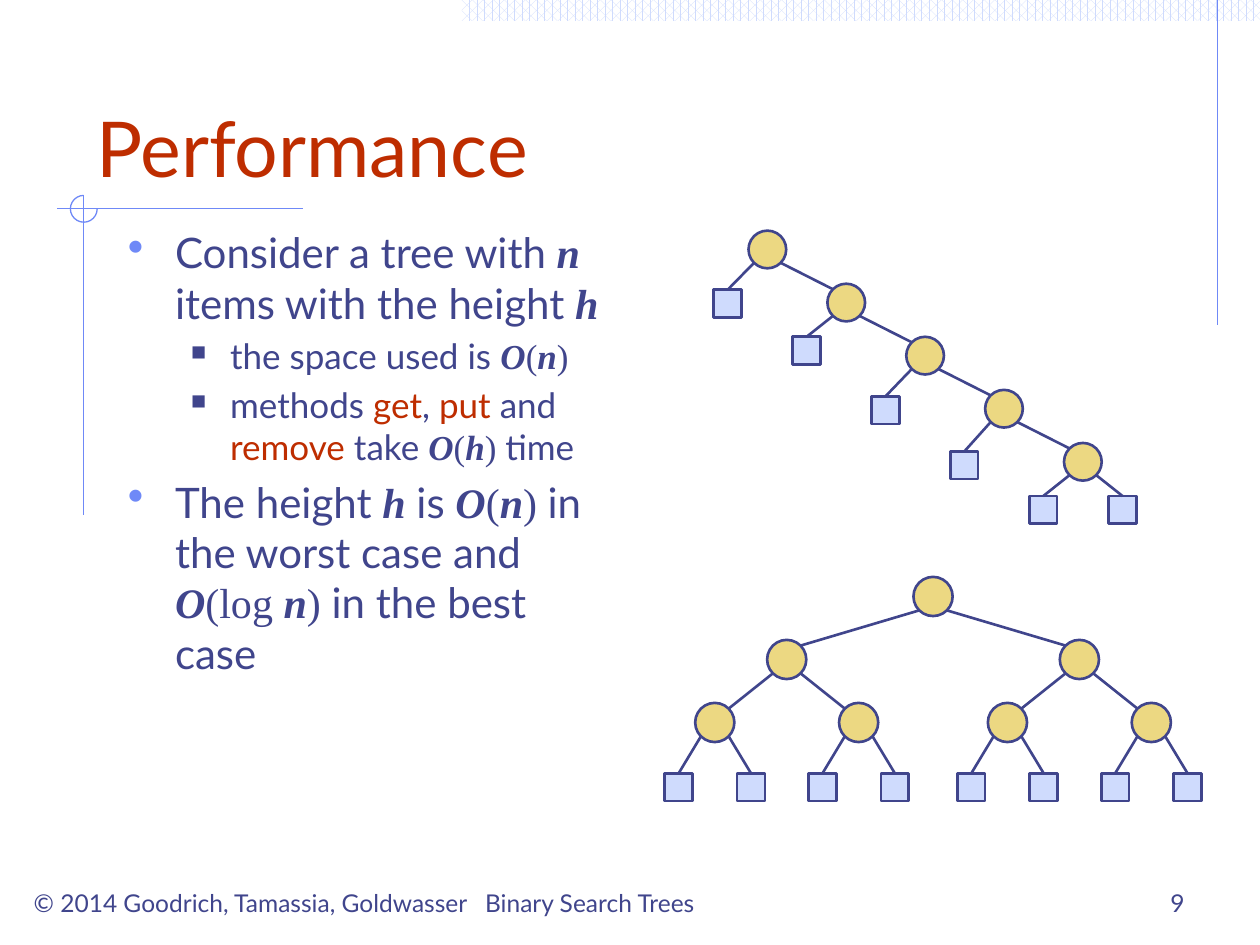
import collections

import lxml.etree
import pptx
import pptx.dml.color
import pptx.enum.dml
import pptx.enum.shapes
import pptx.enum.text
import pptx.oxml.ns
import pptx.util

Cm = pptx.util.Cm
Pt = pptx.util.Pt
SHAPE = pptx.enum.shapes.MSO_SHAPE
ALIGN = pptx.enum.text.PP_ALIGN
ANCHOR = pptx.enum.text.MSO_ANCHOR

INK, RED, RULE = "40458C", "BE2D00", "6F89F7"
PALE, GOLD, WHITE = "CFDBFD", "ECD882", "FFFFFF"
SANS, SERIF = "Lato", "Times New Roman"

Box = collections.namedtuple("Box", "left top width height")
Node = collections.namedtuple("Node", "shape x y reach")
Level = collections.namedtuple("Level", "size margin hang bullet color percent")

LEVELS = [
    Level(24, 0.95, 0.95, "•", RULE, 110),
    Level(20, 2.06, 0.79, "■", INK, 60),
]
POINTS = [
    (0, [("Consider a tree with ", ""), ("n", "variable"),
         (" items with the height ", ""), ("h", "variable")]),
    (1, [("the space used is ", ""), ("O", "variable"), ("(", "math"),
         ("n", "variable"), (")", "math")]),
    (1, [("methods ", ""), ("get", "method"), (", ", ""), ("put ", "method"),
         ("and ", ""), ("remove", "method"), (" take ", ""), ("O", "variable"),
         ("(", "math"), ("h", "variable"), (") ", "math"), ("time", "")]),
    (0, [("The height ", ""), ("h", "variable"), (" is ", ""), ("O", "variable"),
         ("(", "math"), ("n", "variable"), (") ", "math"),
         ("in the worst case and ", ""), ("O", "variable"), ("(log ", "math"),
         ("n", "variable"), (")", "math"), (" in the best case", "")]),
]


def rgb(color):
    """Turn a hex string into a colour."""
    return pptx.dml.color.RGBColor.from_string(color)


def add_line(page, start, end, color, width):
    """Draw a straight line without shadow."""
    line = page.shapes.add_connector(
        pptx.enum.shapes.MSO_CONNECTOR.STRAIGHT,
        *(Cm(value) for value in (*start, *end)))
    line.line.color.rgb = rgb(color)
    line.line.width = Pt(width)
    lxml.etree.SubElement(line._element.spPr, pptx.oxml.ns.qn("a:effectLst"))
    return line


def add_shape(page, kind, box):
    """Add a preset shape without shadow."""
    shape = page.shapes.add_shape(kind, *(Cm(value) for value in box))
    shape.shadow.inherit = False
    return shape


def add_frame(page, box, anchor):
    """Add a wrapping text box and return its frame."""
    frame = page.shapes.add_textbox(*(Cm(value) for value in box)).text_frame
    frame.word_wrap = True
    frame.vertical_anchor = anchor
    return frame


def set_font(font, size, color):
    """Set the sans font with its size and colour."""
    font.name = SANS
    font.size = Pt(size)
    font.color.rgb = rgb(color)


def add_label(page, box, text, size, color, align=ALIGN.LEFT):
    """Write one line that rests on the bottom of its box."""
    para = add_frame(page, box, ANCHOR.BOTTOM).paragraphs[0]
    para.text = text
    para.alignment = align
    set_font(para.font, size, color)


def add_decoration(page, box):
    """Draw the patterned band, the rules and the ring."""
    band = add_shape(page, SHAPE.RECTANGLE,
                     Box(box.left + 9.31, box.top, box.width - 9.31, 0.42))
    band.fill.patterned()
    band.fill.pattern = pptx.enum.dml.MSO_PATTERN.PERCENT_60
    band.fill.fore_color.rgb = rgb(PALE)
    band.fill.back_color.rgb = rgb(WHITE)
    band.line.fill.background()
    for start, end in [((24.55, 0), (24.55, 6.56)),
                       ((6.1, 4.21), (1.14, 4.21)),
                       ((1.69, 3.94), (1.69, 10.39))]:
        add_line(page, (box.left + start[0], box.top + start[1]),
                 (box.left + end[0], box.top + end[1]), RULE, 0.75)
    ring = add_shape(page, SHAPE.ARC,
                     Box(box.left + 1.42, box.top + 3.94, 0.54, 0.54))
    ring.adjustments[0] = 0
    ring.adjustments[1] = 162
    ring.fill.background()
    ring.line.color.rgb = rgb(RULE)
    ring.line.width = Pt(0.75)


def set_bullet(para, level):
    """Give a paragraph its hanging bullet."""
    qn = pptx.oxml.ns.qn
    props = para._p.get_or_add_pPr()
    props.set("marL", str(Cm(level.margin)))
    props.set("indent", str(-Cm(level.hang)))
    tint = lxml.etree.SubElement(props, qn("a:buClr"))
    lxml.etree.SubElement(tint, qn("a:srgbClr"), val=level.color)
    lxml.etree.SubElement(props, qn("a:buSzPct"), val=str(level.percent * 1000))
    lxml.etree.SubElement(props, qn("a:buChar"), char=level.bullet)


def add_points(page, box):
    """Write the bulleted list."""
    frame = add_frame(page, box, ANCHOR.TOP)
    for index, (depth, spans) in enumerate(POINTS):
        para = frame.add_paragraph() if index else frame.paragraphs[0]
        level = LEVELS[depth]
        para.level = depth
        set_bullet(para, level)
        para.space_before = Pt(level.size * 0.2)
        set_font(para.font, level.size, INK)
        for text, style in spans:
            span = para.add_run()
            span.text = text
            if style == "method":
                span.font.color.rgb = rgb(RED)
            elif style:
                span.font.name = SERIF
                span.font.bold = span.font.italic = style == "variable"


def add_node(page, kind, x, y, size, color):
    """Draw a tree node centred on x with its top at y."""
    shape = add_shape(page, kind, Box(x - size / 2, y, size, size))
    shape.fill.solid()
    shape.fill.fore_color.rgb = rgb(color)
    shape.line.color.rgb = rgb(INK)
    shape.line.width = Pt(1.5)
    return Node(shape, x, y + size / 2, size / 2 * 0.71)


def add_inner(page, x, y, size):
    """Draw a round inner node."""
    return add_node(page, SHAPE.OVAL, x, y, size, GOLD)


def add_leaf(page, parent, x, y):
    """Draw a square leaf and join its top to the parent."""
    leaf = add_node(page, SHAPE.RECTANGLE, x, y, 0.56, PALE)
    side = 1 if x > parent.x else -1
    edge = add_line(page, (parent.x + side * parent.reach, parent.y + parent.reach),
                    (x, y), INK, 1.5)
    edge.end_connect(leaf.shape, 0)


def join_inner(page, parent, child):
    """Join two round nodes at their facing diagonal points."""
    side = 1 if child.x > parent.x else -1
    add_line(page, (parent.x + side * parent.reach, parent.y + parent.reach),
             (child.x - side * child.reach, child.y - child.reach), INK, 1.5)


def add_worst_tree(page, box):
    """Draw the tree that degenerates into a chain."""
    size, across, down, spread = 0.76, 1.59, 1.07, 0.8
    drops = [1.19, 1.07, 1.2, 1.24, 1.07]
    parent = None
    for index, drop in enumerate(drops):
        x = box.left + 1.07 + index * across
        y = box.top + index * down
        node = add_inner(page, x, y, size)
        if parent:
            join_inner(page, parent, node)
        add_leaf(page, node, x - spread, y + drop)
        parent = node
    add_leaf(page, parent, x + spread, y + drop)


def add_subtree(page, x, y, steps):
    """Draw a balanced subtree, one (spread, drop) step for each level."""
    node = add_inner(page, x, y, 0.79)
    (spread, drop), *rest = steps
    for side in (-1, 1):
        if rest:
            child = add_subtree(page, x + side * spread, y + drop, rest)
            join_inner(page, node, child)
        else:
            add_leaf(page, node, x + side * spread, y + drop)
    return node


def add_best_tree(page, box):
    """Draw the balanced tree."""
    add_subtree(page, box.left + box.width / 2, box.top,
                [(2.95, 1.27), (1.45, 1.27), (0.73, 1.42)])


def add_footer(page, box):
    """Write the credit, the topic and the page number."""
    for left, width, text, align in [
            (0, 9.52, "© 2014 Goodrich, Tamassia, Goldwasser", ALIGN.LEFT),
            (9.1, 8.05, "Binary Search Trees", ALIGN.LEFT),
            (17.78, 5.92, "9", ALIGN.RIGHT)]:
        add_label(page, Box(box.left + left, box.top, width, box.height),
                  text, 14, INK, align)


def main():
    """Build the slide and save it."""
    deck = pptx.Presentation()
    deck.slide_width, deck.slide_height = Cm(25.4), Cm(19.05)
    page = deck.slides.add_slide(deck.slide_layouts[6])
    add_decoration(page, Box(0, 0, 25.4, 19.05))
    add_label(page, Box(1.69, 0.85, 22.23, 3.17), "Performance", 44, RED)
    add_points(page, Box(2.33, 4.45, 10.36, 12.9))
    add_worst_tree(page, Box(14.4, 4.65, 8.53, 5.92))
    add_best_tree(page, Box(13.41, 11.63, 10.8, 4.52))
    add_footer(page, Box(0.43, 17.35, 23.7, 1.27))
    deck.save("out.pptx")


if __name__ == "__main__":
    main()
